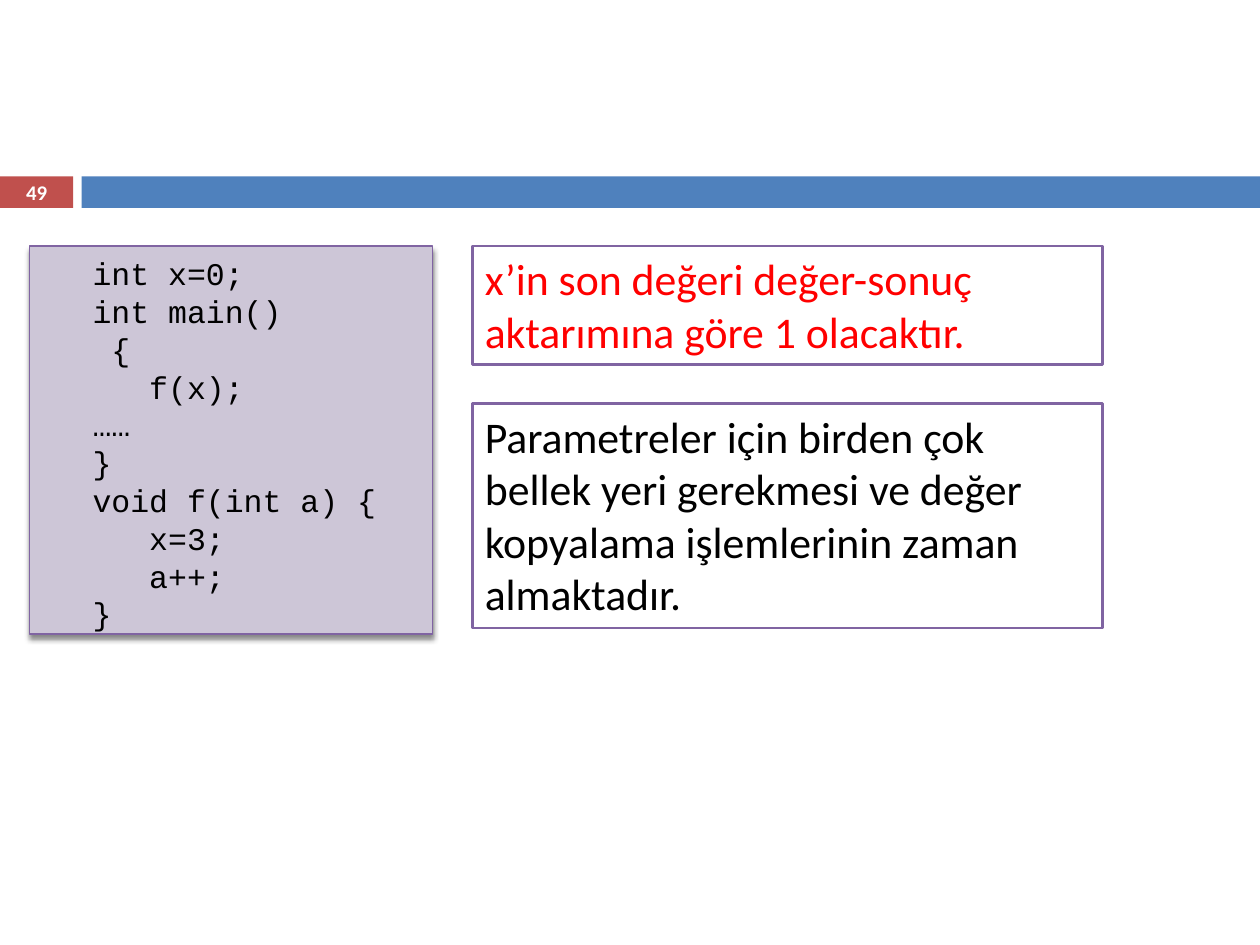
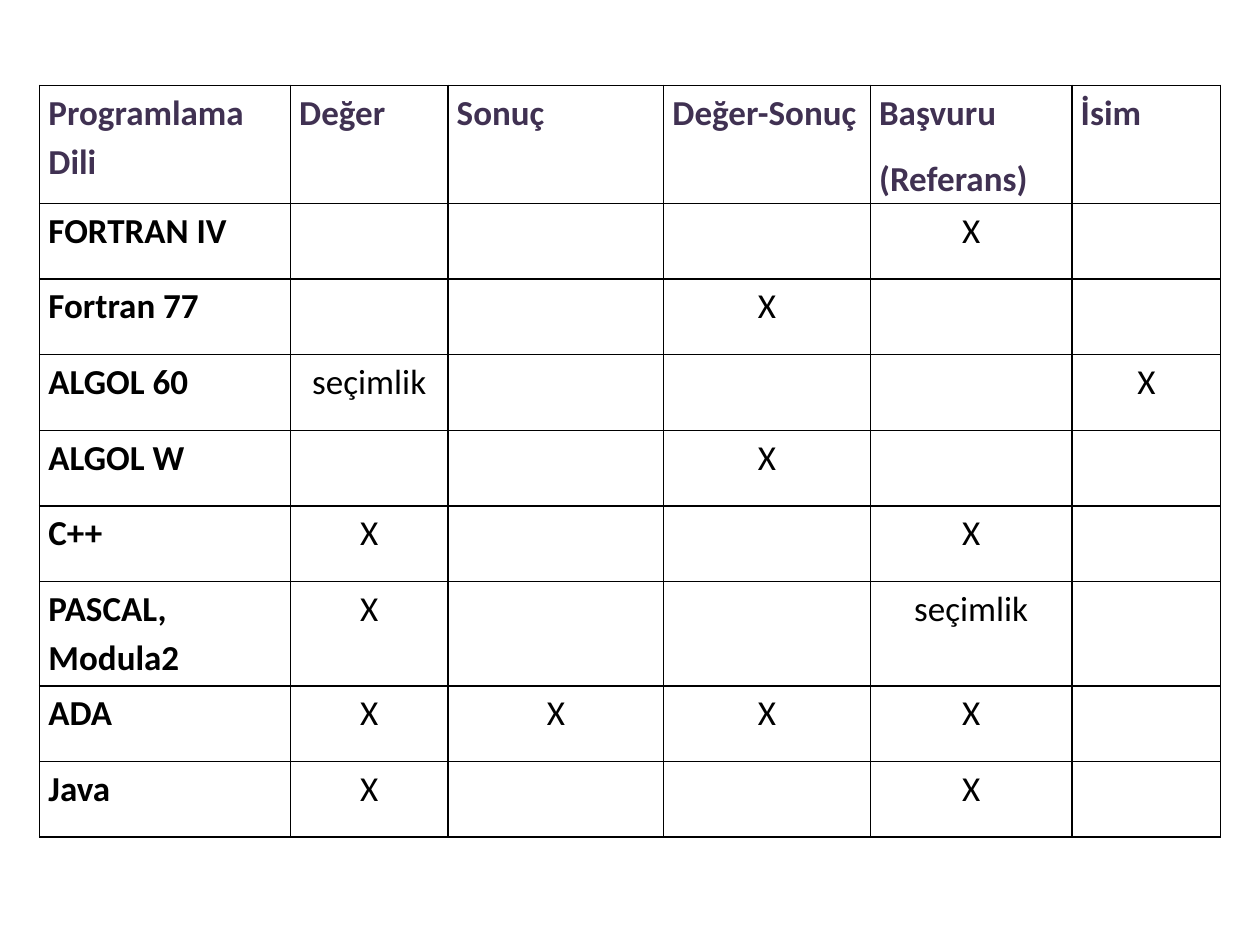
from lxml import etree
from pptx import Presentation
from pptx.dml.color import RGBColor
from pptx.enum.shapes import MSO_SHAPE
from pptx.enum.text import MSO_ANCHOR, MSO_AUTO_SIZE, PP_ALIGN
from pptx.oxml.ns import qn
from pptx.util import Pt

RECTANGLE = MSO_SHAPE.RECTANGLE
TOP, MIDDLE = MSO_ANCHOR.TOP, MSO_ANCHOR.MIDDLE
GROW = MSO_AUTO_SIZE.SHAPE_TO_FIT_TEXT
LEFT, CENTER, JUSTIFY = PP_ALIGN.LEFT, PP_ALIGN.CENTER, PP_ALIGN.JUSTIFY

COLORS = {
    "white": "FFFFFF", "black": "000000", "red": "FF0000",
    "number band": "C0504D", "title band": "4F81BD",
    "code fill": "CDC6D7", "outline": "8064A2", "header": "403152",
}
BODY_FONT, CODE_FONT = "Calibri", "Courier New"

# Content
PAGE_NUMBER = "49"
CODE_LINES = [
    "int x=0;", "int main()", " {", "   f(x);", "……", "}",
    "void f(int a) {", "   x=3;", "   a++;", "}",
]
REMARKS = [  # text, color, top, height
    ("x’in son değeri değer-sonuç aktarımına göre 1 olacaktır.", "red", 140.6, 67.7),
    ("Parametreler için birden çok bellek yeri gerekmesi ve değer kopyalama "
     "işlemlerinin zaman almaktadır.", "black", 230.6, 128.2),
]
METHODS = ["Programlama Dili", "Değer", "Sonuç", "Değer-Sonuç", "Başvuru\n(Referans)", "İsim"]
LANGUAGES = [  # language, {column: mark}
    ("FORTRAN IV", {4: "X"}),
    ("Fortran 77", {3: "X"}),
    ("ALGOL 60", {1: "seçimlik", 5: "X"}),
    ("ALGOL W", {3: "X"}),
    ("C++", {1: "X", 4: "X"}),
    ("PASCAL, Modula2", {1: "X", 4: "seçimlik"}),
    ("ADA", {1: "X", 2: "X", 3: "X", 4: "X"}),
    ("Java", {1: "X", 4: "X"}),
]

# Layout, in points
BAND_TOP, BAND_HEIGHT = 100.8, 18
NUMBER_WIDTH, TITLE_BAND_LEFT, SLIDE_WIDTH, SLIDE_HEIGHT = 41.8, 46.6, 720, 540
TABLE_LEFT, TABLE_TOP = 22.7, 48.8
COLUMN_WIDTHS = [143.3, 90, 123.3, 118.1, 115.2, 85]
HEADER_HEIGHT, ROW_HEIGHT, TWO_LINE_HEIGHT = 67.5, 43.2, 59.6


def color(name):
    return RGBColor.from_string(COLORS[name])


def write(text_frame, lines, size, color_name, font=BODY_FONT, bold=False, alignment=LEFT):
    text_frame.text = "\n".join(lines)
    for paragraph in text_frame.paragraphs:
        paragraph.alignment = alignment
        paragraph.font.name = font
        paragraph.font.size = Pt(size)
        paragraph.font.bold = bold
        paragraph.font.color.rgb = color(color_name)


def add_rectangle(slide, left, top, width, height, fill, outline_width=0):
    shape = slide.shapes.add_shape(RECTANGLE, Pt(left), Pt(top), Pt(width), Pt(height))
    shape.shadow.inherit = False
    shape.fill.solid()
    shape.fill.fore_color.rgb = color(fill)
    if outline_width:
        shape.line.color.rgb = color("outline")
        shape.line.width = Pt(outline_width)
    else:
        shape.line.fill.background()
    return shape


def add_soft_shadow(shape):
    effects = shape.element.spPr.find(qn("a:effectLst"))
    shadow = etree.SubElement(
        effects, qn("a:outerShdw"), blurRad=str(Pt(3)), dist=str(Pt(2.4)),
        dir="5400000", rotWithShape="0")
    tone = etree.SubElement(shadow, qn("a:srgbClr"), val=COLORS["black"])
    etree.SubElement(tone, qn("a:alpha"), val="45000")


def add_page_number(slide):
    box = slide.shapes.add_textbox(Pt(0), Pt(100.1), Pt(NUMBER_WIDTH), Pt(19.4))
    box.text_frame.word_wrap = True
    box.text_frame.vertical_anchor = MIDDLE
    write(box.text_frame, [PAGE_NUMBER], 11.9, "white", bold=True, alignment=CENTER)


def add_code_box(slide):
    shape = add_rectangle(slide, 16.9, 140.6, 230.4, 221.8, "code fill", 0.79)
    add_soft_shadow(shape)
    frame = shape.text_frame
    frame.vertical_anchor = MIDDLE
    frame.margin_left, frame.margin_bottom = Pt(36), Pt(0)
    write(frame, CODE_LINES, 18, "black", font=CODE_FONT)
    for paragraph in frame.paragraphs:
        paragraph.line_spacing = Pt(21.6)


def add_remark(slide, text, color_name, top, height):
    frame = add_rectangle(slide, 270, top, 360, height, "white", 1.5).text_frame
    frame.word_wrap = True
    frame.auto_size = GROW
    frame.vertical_anchor = TOP
    write(frame, [text], 25, color_name)


def format_cell(cell):
    """Give the cell black borders, a white fill and narrow margins."""
    properties = cell._tc.get_or_add_tcPr()
    for side in ("lnL", "lnR", "lnT", "lnB"):
        border = etree.SubElement(properties, qn(f"a:{side}"), w=str(Pt(1)))
        fill = etree.SubElement(border, qn("a:solidFill"))
        etree.SubElement(fill, qn("a:srgbClr"), val=COLORS["black"])
    cell.fill.solid()
    cell.fill.fore_color.rgb = color("white")
    cell.margin_left = cell.margin_right = Pt(5)
    cell.margin_top = cell.margin_bottom = Pt(0)


def add_methods_table(slide):
    rows = [METHODS] + [
        [language] + [marks.get(column, "") for column in range(1, len(METHODS))]
        for language, marks in LANGUAGES]
    heights = [HEADER_HEIGHT] + [
        TWO_LINE_HEIGHT if "," in language else ROW_HEIGHT for language, _ in LANGUAGES]
    table = slide.shapes.add_table(
        len(rows), len(METHODS), Pt(TABLE_LEFT), Pt(TABLE_TOP),
        Pt(sum(COLUMN_WIDTHS)), Pt(sum(heights))).table
    table.first_row = table.horz_banding = False
    for column, width in zip(table.columns, COLUMN_WIDTHS):
        column.width = Pt(width)
    for row_index, (values, height) in enumerate(zip(rows, heights)):
        table.rows[row_index].height = Pt(height)
        for column_index, value in enumerate(values):
            cell = table.cell(row_index, column_index)
            format_cell(cell)
            if not value:
                continue
            is_heading = row_index == 0 or column_index == 0
            write(cell.text_frame, value.split("\n"), 20,
                  "black" if row_index else "header", bold=is_heading,
                  alignment=JUSTIFY if is_heading else CENTER)
            for paragraph in cell.text_frame.paragraphs:
                paragraph.line_spacing = 1.15
                paragraph.space_after = Pt(10)


def build_value_result_slide(slide):
    add_rectangle(slide, 0, BAND_TOP, NUMBER_WIDTH, BAND_HEIGHT, "number band")
    add_rectangle(slide, TITLE_BAND_LEFT, BAND_TOP, SLIDE_WIDTH - TITLE_BAND_LEFT,
                  BAND_HEIGHT, "title band")
    add_page_number(slide)
    add_code_box(slide)
    for remark in REMARKS:
        add_remark(slide, *remark)


def main():
    presentation = Presentation()
    presentation.slide_width, presentation.slide_height = Pt(SLIDE_WIDTH), Pt(SLIDE_HEIGHT)
    blank_layout = presentation.slide_layouts[6]
    for build in (build_value_result_slide, add_methods_table):
        build(presentation.slides.add_slide(blank_layout))
    presentation.save("out.pptx")


if __name__ == "__main__":
    main()
